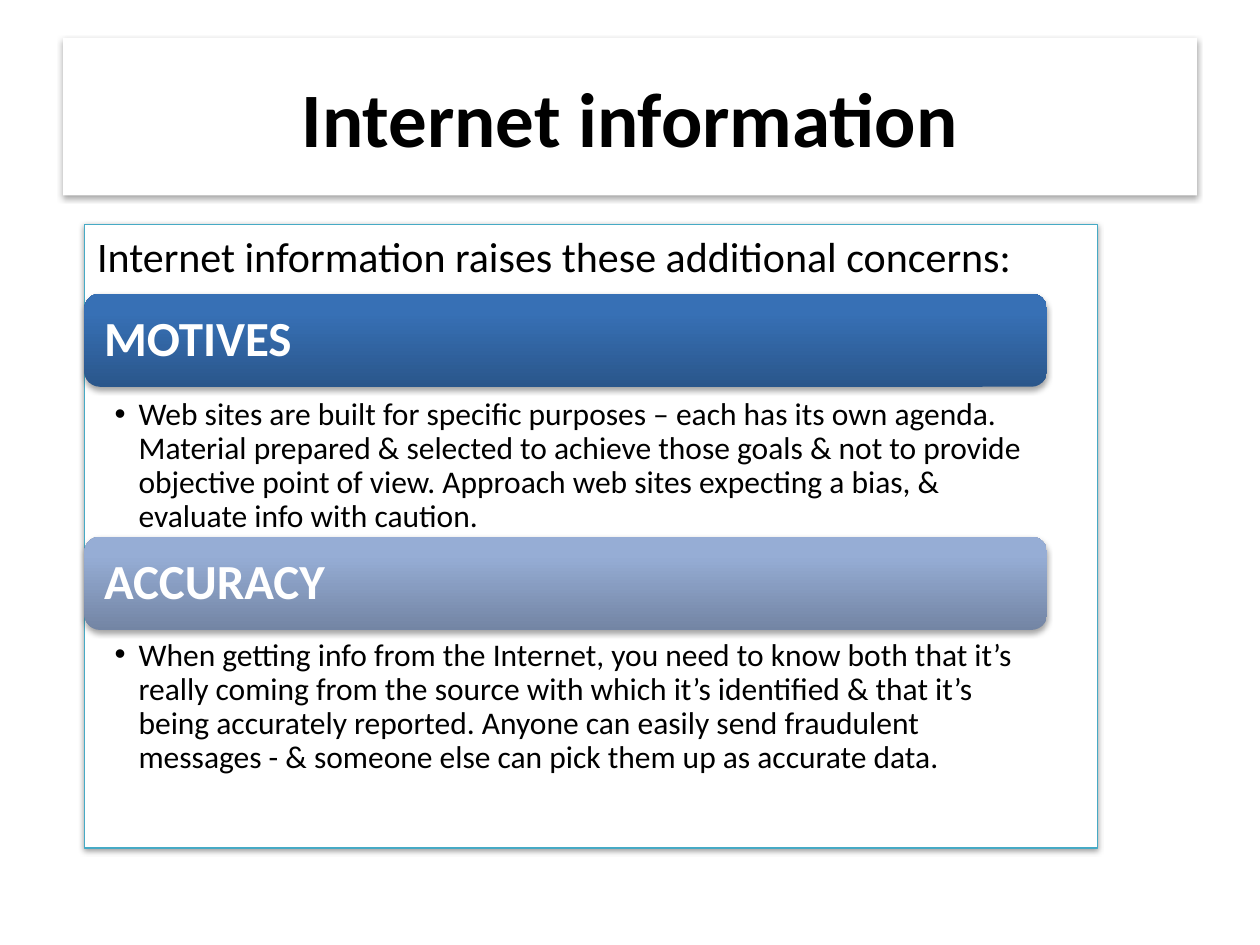
from copy import deepcopy
from dataclasses import dataclass

from lxml.etree import SubElement
from pptx import Presentation
from pptx.dml.color import RGBColor
from pptx.enum.shapes import MSO_SHAPE
from pptx.enum.text import MSO_ANCHOR, PP_ALIGN
from pptx.oxml.ns import qn
from pptx.util import Inches, Pt


@dataclass
class Theme:
    font: str = "Calibri"
    text: str = "000000"
    white: str = "FFFFFF"
    frame: str = "46AAC5"
    title_size: int = 44
    intro_size: int = 24
    heading_size: int = 28
    detail_size: int = 18
    motives: tuple = ("2A568B", "3770B5", "3570B8")
    accuracy: tuple = ("7385A4", "96ADD5", "95ADD7")


theme = Theme()


def write(sp, text, size, color=theme.text, bold=False, align=PP_ALIGN.LEFT,
          anchor=MSO_ANCHOR.TOP, insets=(0.1, 0.05, 0.1, 0.05),
          indent=0, bullet=None, line=1.0):
    """Fill the first paragraph of sp; insets run left, top, right, bottom."""
    tf = sp.text_frame
    tf.word_wrap = True
    tf.vertical_anchor = anchor
    tf.margin_left, tf.margin_top, tf.margin_right, tf.margin_bottom = map(Inches, insets)
    p = tf.paragraphs[0]
    pPr = p._p.get_or_add_pPr()
    pPr.set("marL", str(Inches(indent)))
    pPr.set("indent", str(-Inches(indent)))
    if bullet:
        SubElement(pPr, qn("a:buFont"), typeface="Arial")
        SubElement(pPr, qn("a:buChar"), char=bullet)
    else:
        SubElement(pPr, qn("a:buNone"))
    p.alignment = align
    p.line_spacing = line
    p.space_before = Pt(0)
    r = p.add_run()
    r.text = text
    r.font.name = theme.font
    r.font.size = Pt(size)
    r.font.bold = bold
    r.font.color.rgb = RGBColor.from_string(color)


def add_shadow(sp, opacity=35, distance=1.8):
    sp.shadow.inherit = False
    effects = sp._element.spPr.find(qn("a:effectLst"))
    shadow = SubElement(effects, qn("a:outerShdw"), blurRad=str(Pt(3.1)),
                        dist=str(Pt(distance)), dir="5400000", rotWithShape="0")
    color = SubElement(shadow, qn("a:srgbClr"), val="000000")
    SubElement(color, qn("a:alpha"), val=str(opacity * 1000))


prs = Presentation()
prs.slide_width, prs.slide_height = Inches(10), Inches(7.5)
s = prs.slides.add_slide(prs.slide_layouts[1])

title, body = s.placeholders
for sp, box in ((title, (0.5, 0.3, 9, 1.25)), (body, (0.67, 1.78, 8.04, 4.95))):
    sp.left, sp.top, sp.width, sp.height = map(Inches, box)
    sp.fill.solid()
    sp.fill.fore_color.rgb = RGBColor.from_string(theme.white)

write(title, "Internet information", theme.title_size, bold=True,
      align=PP_ALIGN.CENTER, anchor=MSO_ANCHOR.MIDDLE)
add_shadow(title)

body.line.color.rgb = RGBColor.from_string(theme.frame)
body.line.width = Pt(0.75)
write(body, "Internet information raises these additional concerns:",
      theme.intro_size, indent=0.38)
add_shadow(body, opacity=38, distance=1.6)

concerns = [
    ("MOTIVES", theme.motives, 2.33, 3.13,
     "Web sites are built for specific purposes – each has its own agenda. "
     "Material prepared & selected to achieve those goals & not to provide "
     "objective point of view. Approach web sites expecting a bias, & "
     "evaluate info with caution."),
    ("ACCURACY", theme.accuracy, 4.26, 5.04,
     "When getting info from the Internet, you need to know both that it’s "
     "really coming from the source with which it’s identified & that it’s "
     "being accurately reported. Anyone can easily send fraudulent "
     "messages - & someone else can pick them up as accurate data."),
]
left, width = Inches(0.67), Inches(7.64)

for heading, colors, bar_top, detail_top, detail in concerns:
    bar = s.shapes.add_shape(MSO_SHAPE.ROUNDED_RECTANGLE, left, Inches(bar_top),
                             width, Inches(0.74))
    bar.line.fill.background()
    bar.fill.gradient()
    bar.fill.gradient_angle = 90
    stops = bar._element.spPr.find(qn("a:gradFill")).find(qn("a:gsLst"))
    stops.append(deepcopy(stops[-1]))
    for stop, position, color in zip(bar.fill.gradient_stops, (0, 0.8, 1), colors):
        stop.position = position
        stop.color.rgb = RGBColor.from_string(color)
    add_shadow(bar)
    write(bar, heading, theme.heading_size, color=theme.white, bold=True,
          anchor=MSO_ANCHOR.MIDDLE, insets=(0.12,) * 4, line=0.9)

    note = s.shapes.add_textbox(left, Inches(detail_top), width, Inches(1.17))
    write(note, detail, theme.detail_size, insets=(0.24, 0.03, 0.18, 0.03),
          indent=0.19, bullet="•", line=0.9)

prs.save("out.pptx")
